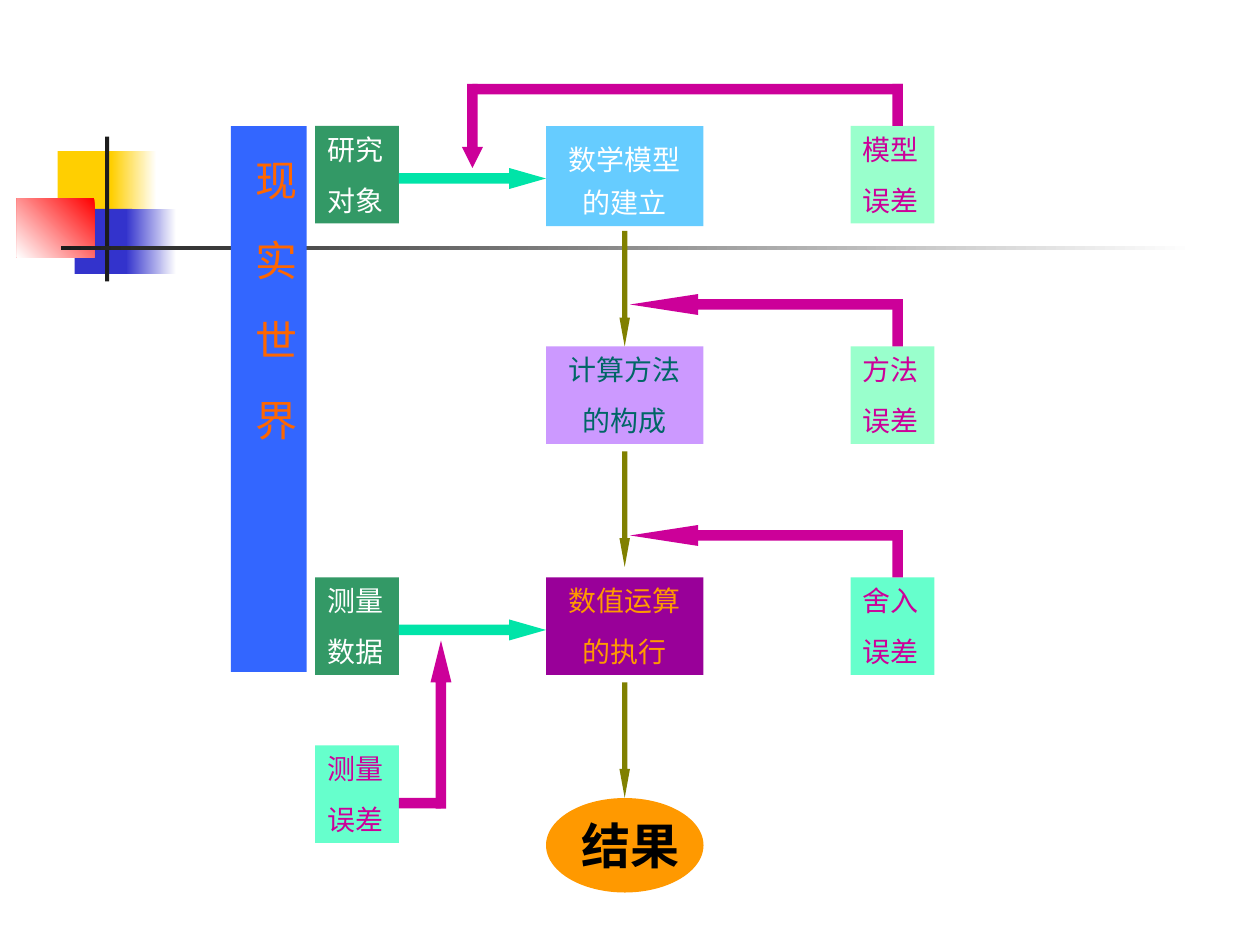
from pptx import Presentation
from pptx.dml.color import RGBColor
from pptx.enum.shapes import MSO_SHAPE as Shape
from pptx.enum.text import MSO_ANCHOR as Anchor, PP_ALIGN as Align
from pptx.util import Inches, Pt

WHITE = RGBColor(0xFF, 0xFF, 0xFF)
BLACK = RGBColor(0x00, 0x00, 0x00)
CHARCOAL = RGBColor(0x1C, 0x1C, 0x1C)
GOLD = RGBColor(0xFF, 0xCF, 0x01)
INDIGO = RGBColor(0x33, 0x33, 0xCC)
RED = RGBColor(0xFF, 0x00, 0x00)
BLUE = RGBColor(0x33, 0x66, 0xFF)
VERMILION = RGBColor(0xFF, 0x66, 0x00)
GREEN = RGBColor(0x33, 0x99, 0x66)
SKY = RGBColor(0x66, 0xCC, 0xFF)
LILAC = RGBColor(0xCC, 0x99, 0xFF)
TEAL = RGBColor(0x00, 0x66, 0x66)
PURPLE = RGBColor(0x99, 0x00, 0x99)
ORANGE = RGBColor(0xFF, 0x99, 0x00)
AQUA = RGBColor(0x66, 0xFF, 0xCC)
MINT = RGBColor(0x99, 0xFF, 0xCC)
MAGENTA = RGBColor(0xCC, 0x00, 0x99)
OLIVE = RGBColor(0x80, 0x80, 0x00)
JADE = RGBColor(0x00, 0xE4, 0xA8)

COLUMNS, ROWS = 120, 90
SIDE_WIDTH, STEP_WIDTH, BOX_HEIGHT = 8, 15, 9.28
OBJECT_COLUMN, STEP_COLUMN, ERROR_COLUMN = 30, 52, 81
MODEL_ROW, METHOD_ROW, RUN_ROW, MEASURE_ROW, RESULT_ROW = 12, 33, 55, 71, 76


class FlowSlide:
    """Holds the style and the slide, and places elements on a grid."""

    font_name = "Times New Roman"

    def __init__(self, presentation):
        self.slide = presentation.slides.add_slide(presentation.slide_layouts[6])
        self.column = presentation.slide_width / COLUMNS
        self.row = presentation.slide_height / ROWS

    def block(self, left, top, width, height, color, kind=Shape.RECTANGLE):
        shape = self.slide.shapes.add_shape(
            kind, round(left * self.column), round(top * self.row),
            round(width * self.column), round(height * self.row))
        shape.shadow.inherit = False
        shape.fill.solid()
        shape.fill.fore_color.rgb = color
        shape.line.fill.background()
        return shape

    def fade(self, left, top, width, height, start, end, angle=180):
        fill = self.block(left, top, width, height, start).fill
        fill.gradient()
        fill.gradient_angle = angle
        for stop, color in zip(fill.gradient_stops, (start, end)):
            stop.color.rgb = color

    def arrow(self, kind, left, top, width, height, color, head):
        shape = self.block(left, top, width, height, color, kind)
        shape.adjustments[0] = 0.5
        shape.adjustments[1] = head

    def label(self, shape, lines, size, color, align=Align.LEFT, spacing=None):
        frame = shape.text_frame
        frame.word_wrap = True
        frame.vertical_anchor = Anchor.TOP
        frame.text = "\n".join(lines)
        for index, paragraph in enumerate(frame.paragraphs):
            paragraph.alignment = align
            paragraph.line_spacing = spacing
            paragraph.space_before = Pt(10 if index else 0)
            paragraph.font.name = self.font_name
            paragraph.font.size = Pt(size)
            paragraph.font.color.rgb = color
        return frame

    def side_box(self, left, top, fill, color, *lines):
        shape = self.block(left, top, SIDE_WIDTH, BOX_HEIGHT, fill)
        self.label(shape, lines, 16, color)

    def step_box(self, top, fill, color, *lines, height=BOX_HEIGHT, spacing=None):
        shape = self.block(STEP_COLUMN, top, STEP_WIDTH, height, fill)
        self.label(shape, lines, 16, color, Align.CENTER, spacing)

    def vertical_banner(self, left, top, width, height, text):
        shape = self.block(left, top, width, height, BLUE)
        frame = self.label(shape, [text], 24, VERMILION, Align.CENTER)
        frame.margin_left = frame.margin_right = Inches(0.05)
        frame.margin_top, frame.margin_bottom = Inches(0.27), Inches(0.1)
        shape.element.txBody.bodyPr.set("vert", "eaVert")
        frame.paragraphs[0].runs[0]._r.get_or_add_rPr().set("spc", "2170")

    def result(self, text):
        shape = self.block(STEP_COLUMN, RESULT_ROW, STEP_WIDTH, 9, ORANGE, Shape.OVAL)
        frame = self.label(shape, [text], 28, BLACK)
        frame.word_wrap = False
        frame.vertical_anchor = Anchor.MIDDLE
        frame.paragraphs[0].font.bold = True

    def ornament(self):
        self.block(5.5, 14.4, 5.8, 6.2, GOLD)
        self.fade(10.6, 14.4, 4.3, 6.2, WHITE, GOLD)
        self.block(7.1, 19.9, 5.5, 6.2, INDIGO)
        self.fade(12, 19.9, 4.8, 6.2, WHITE, INDIGO)
        self.fade(1.6, 18.9, 7.4, 5.6, RED, WHITE, 225)
        self.block(10, 13, 0.4, 13.8, CHARCOAL)
        self.fade(5.8, 23.4, 108, 0.4, WHITE, CHARCOAL)


def main():
    presentation = Presentation()
    presentation.slide_width, presentation.slide_height = Inches(10), Inches(7.5)
    flow = FlowSlide(presentation)
    flow.ornament()
    flow.vertical_banner(22, 12, 7.2, 52, "现实世界")

    flow.side_box(OBJECT_COLUMN, MODEL_ROW, GREEN, WHITE, "研究", "对象")
    flow.side_box(OBJECT_COLUMN, RUN_ROW, GREEN, WHITE, "测量", "数据")
    flow.step_box(MODEL_ROW, SKY, WHITE, "数学模型的建立", height=9.55, spacing=1.3)
    flow.step_box(METHOD_ROW, LILAC, TEAL, "计算方法", "的构成")
    flow.step_box(RUN_ROW, PURPLE, ORANGE, "数值运算", "的执行")
    for left, top, fill, cause in (
            (OBJECT_COLUMN, MEASURE_ROW, AQUA, "测量"),
            (ERROR_COLUMN, MODEL_ROW, MINT, "模型"),
            (ERROR_COLUMN, METHOD_ROW, MINT, "方法"),
            (ERROR_COLUMN, RUN_ROW, AQUA, "舍入")):
        flow.side_box(left, top, fill, MAGENTA, cause, "误差")
    flow.result("结果")

    for top in (22, 43, 65):
        flow.arrow(Shape.DOWN_ARROW, 59, top, 1, 11, OLIVE, 2.75)
    for top in (MODEL_ROW, METHOD_ROW, RUN_ROW):
        flow.block(85, top - 4, 1, 4, MAGENTA)
    flow.block(45, 8, 41, 1, MAGENTA)
    flow.arrow(Shape.DOWN_ARROW, 44, 8, 2, 8, MAGENTA, 1)
    for top in (METHOD_ROW, RUN_ROW):
        flow.arrow(Shape.LEFT_ARROW, 60, top - 5, 26, 2, MAGENTA, 3.25)
    flow.block(38, 76, 4, 1, MAGENTA)
    flow.arrow(Shape.UP_ARROW, 41, 61, 2, 16, MAGENTA, 2)
    for top in (MODEL_ROW, RUN_ROW):
        flow.arrow(Shape.RIGHT_ARROW, 38, top + 4, 14, 2, JADE, 1.75)
    presentation.save("out.pptx")


if __name__ == "__main__":
    main()
